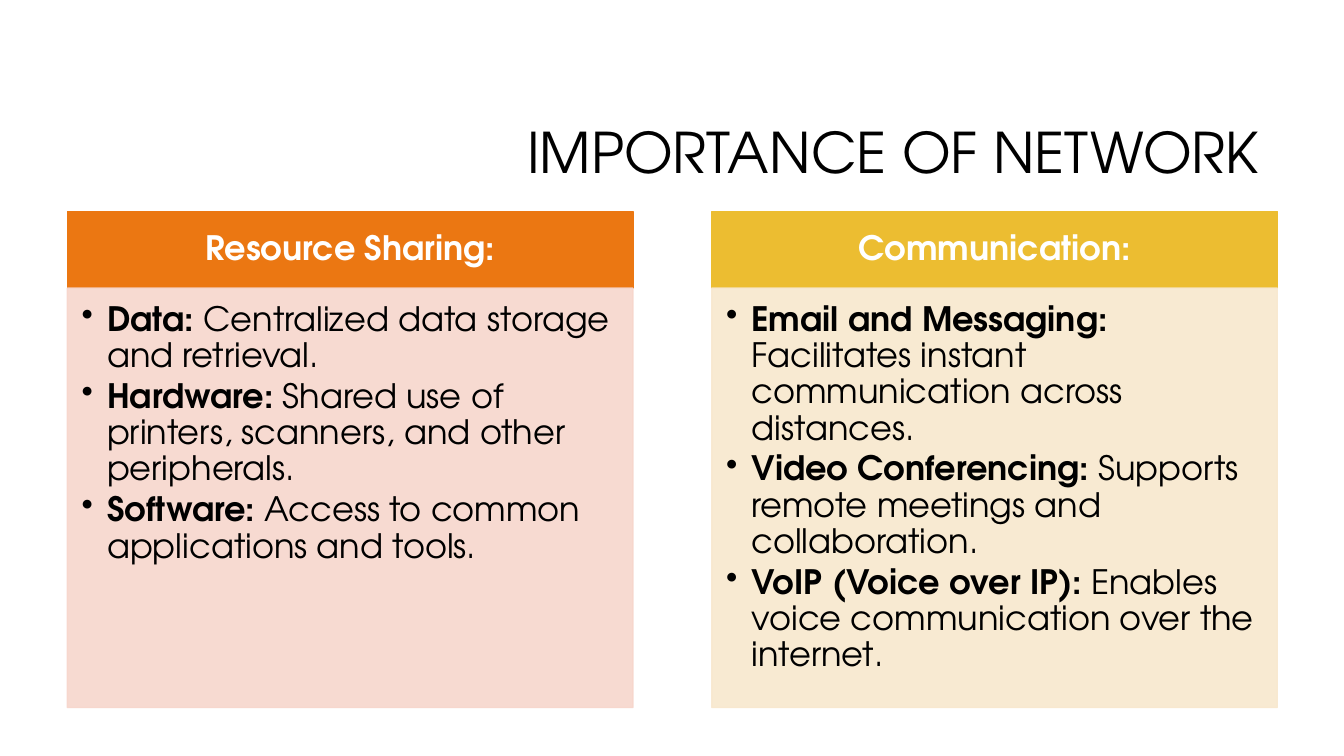
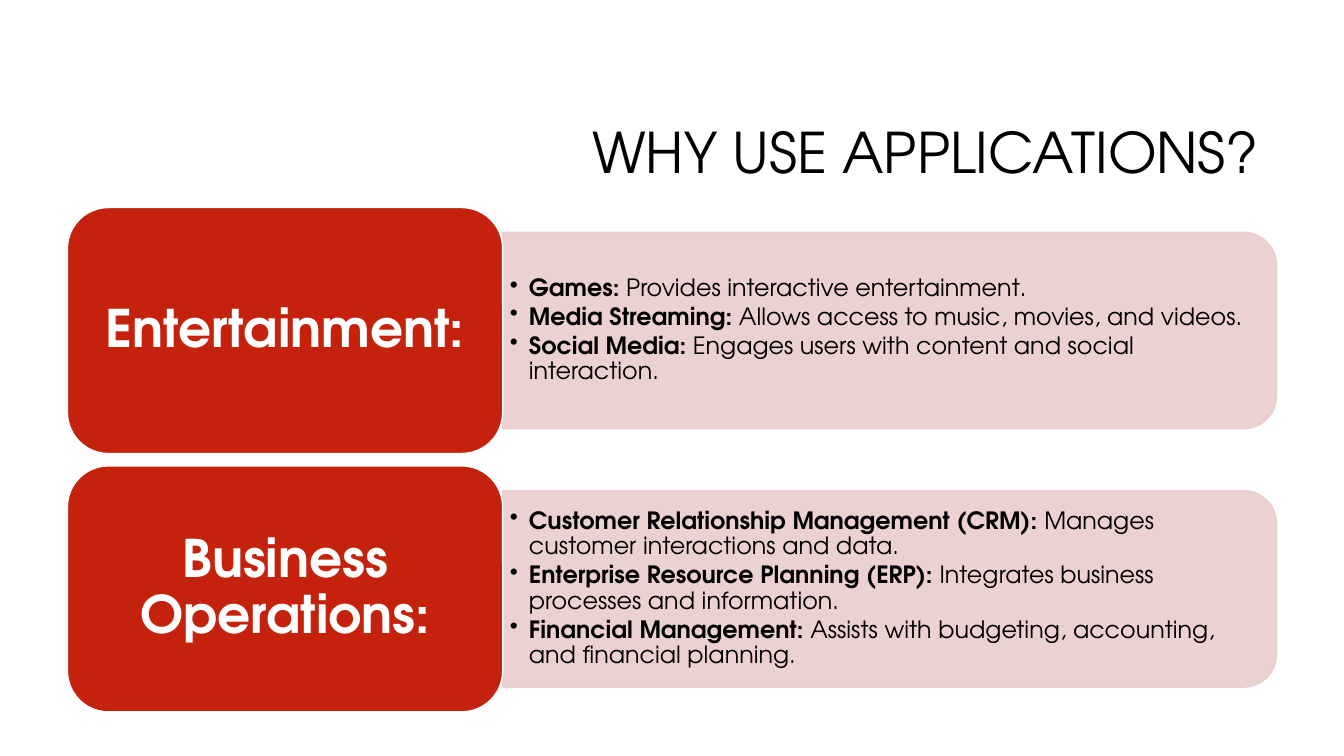
from dataclasses import dataclass
from typing import Any, NamedTuple

from lxml import etree
from pptx import Presentation
from pptx import slide as sl
from pptx import util as u
from pptx.dml import color as c
from pptx.enum import shapes as s
from pptx.enum import text as t
from pptx.oxml import ns

FONT = "TeX Gyre Adventor"
HUES = {
    "ink": "000000",
    "paper": "FFFFFF",
    "orange": "EB7712",
    "peach": "F7D6CC",
    "gold": "ECBD31",
    "cream": "F8E8CE",
    "red": "C4220D",
    "rose": "EACDCC",
}
LEFT = 1.7
MID = t.MSO_ANCHOR.MIDDLE
TOP = t.MSO_ANCHOR.TOP


class Box(NamedTuple):
    left: float
    top: float
    width: float
    height: float

    def cm(self) -> list[u.Cm]:
        return [u.Cm(side) for side in self]


class Point(NamedTuple):
    term: str
    rest: str


@dataclass
class Style:
    size: float
    hue: str = "ink"
    align: Any = t.PP_ALIGN.LEFT
    anchor: Any = MID
    pads: tuple[float, ...] = (0.25, 0.13, 0.25, 0.13)
    indent: float = 0
    after: float = 0


@dataclass
class Panel:
    head: str
    points: list[Point]
    dark: str = "red"
    pale: str = "rose"


CENTER = t.PP_ALIGN.CENTER
TITLE = Style(40, align=t.PP_ALIGN.RIGHT)
HEAD = Style(24, "paper", CENTER, pads=(0.48, 0.28, 0.48, 0.28))
BODY = Style(24, anchor=TOP, pads=(0.36, 0.36, 0.48, 0.53), indent=0.64, after=3.2)
LABEL = Style(37, "paper", CENTER, pads=(0.38, 0.2, 0.38, 0.2))
NOTE = Style(17, pads=(0.18, 0.1, 0.18, 0.1), indent=0.48, after=2.2)

COLUMNS = [
    Panel("Resource Sharing:", [
        Point("Data:", "Centralized data storage and retrieval."),
        Point("Hardware:", "Shared use of printers, scanners, and other peripherals."),
        Point("Software:", "Access to common applications and tools."),
    ], "orange", "peach"),
    Panel("Communication:", [
        Point("Email and Messaging:", "Facilitates instant communication across distances."),
        Point("Video Conferencing:", "Supports remote meetings and collaboration."),
        Point("VoIP (Voice over IP):", "Enables voice communication over the internet."),
    ], "gold", "cream"),
]
ROWS = [
    Panel("Entertainment:", [
        Point("Games:", "Provides interactive entertainment."),
        Point("Media Streaming:", "Allows access to music, movies, and videos."),
        Point("Social Media:", "Engages users with content and social interaction."),
    ]),
    Panel("Business Operations:", [
        Point("Customer Relationship Management (CRM):", "Manages customer interactions and data."),
        Point("Enterprise Resource Planning (ERP):", "Integrates business processes and information."),
        Point("Financial Management:", "Assists with budgeting, accounting, and financial planning."),
    ]),
]


def put(item: Any, values: dict[str, Any]) -> None:
    for name, value in values.items():
        setattr(item, name, value)


def rgb(hue: str) -> c.RGBColor:
    return c.RGBColor.from_string(HUES[hue])


def add_run(para: Any, words: str, style: Style, bold: bool) -> None:
    run = para.add_run()
    run.text = words
    put(run.font, {"name": FONT, "size": u.Pt(style.size), "bold": bold})
    run.font.color.rgb = rgb(style.hue)


def add_bullet(para: Any, indent: float) -> None:
    props = para._p.get_or_add_pPr()
    props.set("marL", str(u.Cm(indent)))
    props.set("indent", str(-u.Cm(indent)))
    etree.SubElement(props, ns.qn("a:buChar")).set("char", "•")


def set_frame(frame: Any, style: Style) -> None:
    left, top, right, foot = [u.Cm(pad) for pad in style.pads]
    put(frame, {
        "word_wrap": True,
        "vertical_anchor": style.anchor,
        "margin_left": left,
        "margin_top": top,
        "margin_right": right,
        "margin_bottom": foot,
    })


def set_para(para: Any, style: Style) -> None:
    put(para, {
        "alignment": style.align,
        "line_spacing": 0.9,
        "space_after": u.Pt(style.after),
    })


def write(shape: Any, words: str, style: Style, bold: bool = True) -> None:
    set_frame(shape.text_frame, style)
    para = shape.text_frame.paragraphs[0]
    set_para(para, style)
    add_run(para, words, style, bold)


def write_list(shape: Any, points: list[Point], style: Style) -> None:
    frame = shape.text_frame
    set_frame(frame, style)
    for rank, point in enumerate(points):
        para = frame.add_paragraph() if rank else frame.paragraphs[0]
        add_bullet(para, style.indent)
        set_para(para, style)
        add_run(para, point.term, style, True)
        add_run(para, f" {point.rest}", style, False)


def add_block(page: sl.Slide, kind: Any, box: Box, fill: str, line: str,
              alpha: int = 100) -> Any:
    shape = page.shapes.add_shape(kind, *box.cm())
    shape.shadow.inherit = False
    shape.fill.solid()
    shape.fill.fore_color.rgb = rgb(fill)
    shape.line.color.rgb = rgb(line)
    shape.line.width = u.Pt(1)
    if alpha < 100:
        for tone in shape.element.spPr.iter(ns.qn("a:srgbClr")):
            etree.SubElement(tone, ns.qn("a:alpha")).set("val", str(alpha * 1000))
    return shape


def add_page(deck: Any, title: str) -> sl.Slide:
    page = deck.slides.add_slide(deck.slide_layouts[6])
    box = Box(8.05, 2.13, 23.93, 3.58)
    write(page.shapes.add_textbox(*box.cm()), title, TITLE, False)
    return page


def add_column(page: sl.Slide, panel: Panel, rank: int) -> None:
    rect = s.MSO_SHAPE.RECTANGLE
    width, pitch = 14.25, 16.24
    head = Box(LEFT + rank * pitch, 5.33, width, 1.93)
    body = Box(head.left, head.top + head.height, width, 10.57)
    write(add_block(page, rect, head, panel.dark, panel.dark), panel.head, HEAD)
    shape = add_block(page, rect, body, panel.pale, panel.pale, 90)
    write_list(shape, panel.points, BODY)


def add_row(page: sl.Slide, panel: Panel, rank: int) -> None:
    pitch, depth, span = 6.51, 4.95, 19.5
    label = Box(LEFT, 5.23 + rank * pitch, 10.97, 6.2)
    edge = label.left + label.width
    mid = label.top + label.height / 2
    bar = Box(edge + (span - depth) / 2, mid - span / 2, depth, span)
    note = Box(edge, mid - 2.23, 19.25, 4.46)
    shape = add_block(page, s.MSO_SHAPE.ROUND_2_SAME_RECTANGLE, bar,
                      panel.pale, panel.pale, 90)
    shape.rotation = 90
    write_list(page.shapes.add_textbox(*note.cm()), panel.points, NOTE)
    shape = add_block(page, s.MSO_SHAPE.ROUNDED_RECTANGLE, label, panel.dark, "paper")
    write(shape, panel.head, LABEL)


def main() -> None:
    deck = Presentation()
    put(deck, {"slide_width": u.Cm(33.87), "slide_height": u.Cm(19.05)})
    for title, panels, draw in (
        ("IMPORTANCE OF NETWORK", COLUMNS, add_column),
        ("WHY USE APPLICATIONS?", ROWS, add_row),
    ):
        page = add_page(deck, title)
        for rank, panel in enumerate(panels):
            draw(page, panel, rank)
    deck.save("out.pptx")


if __name__ == "__main__":
    main()
